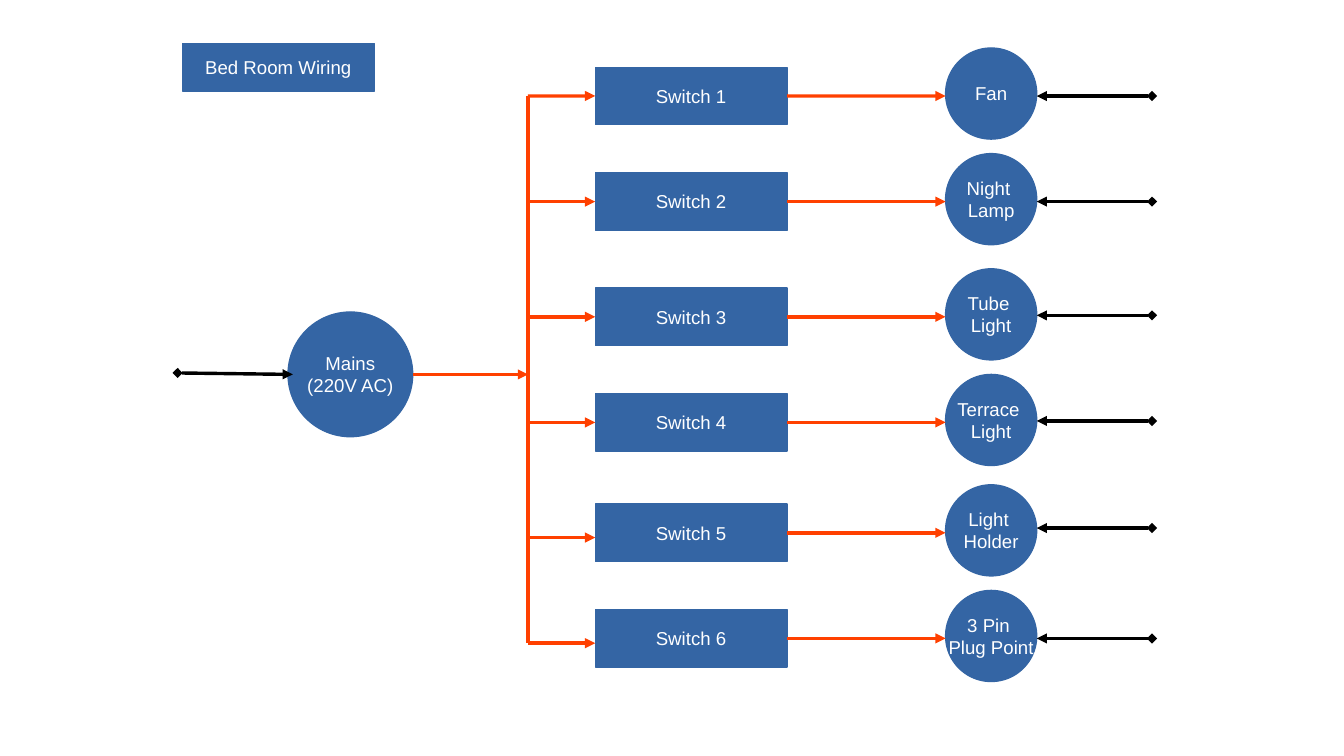
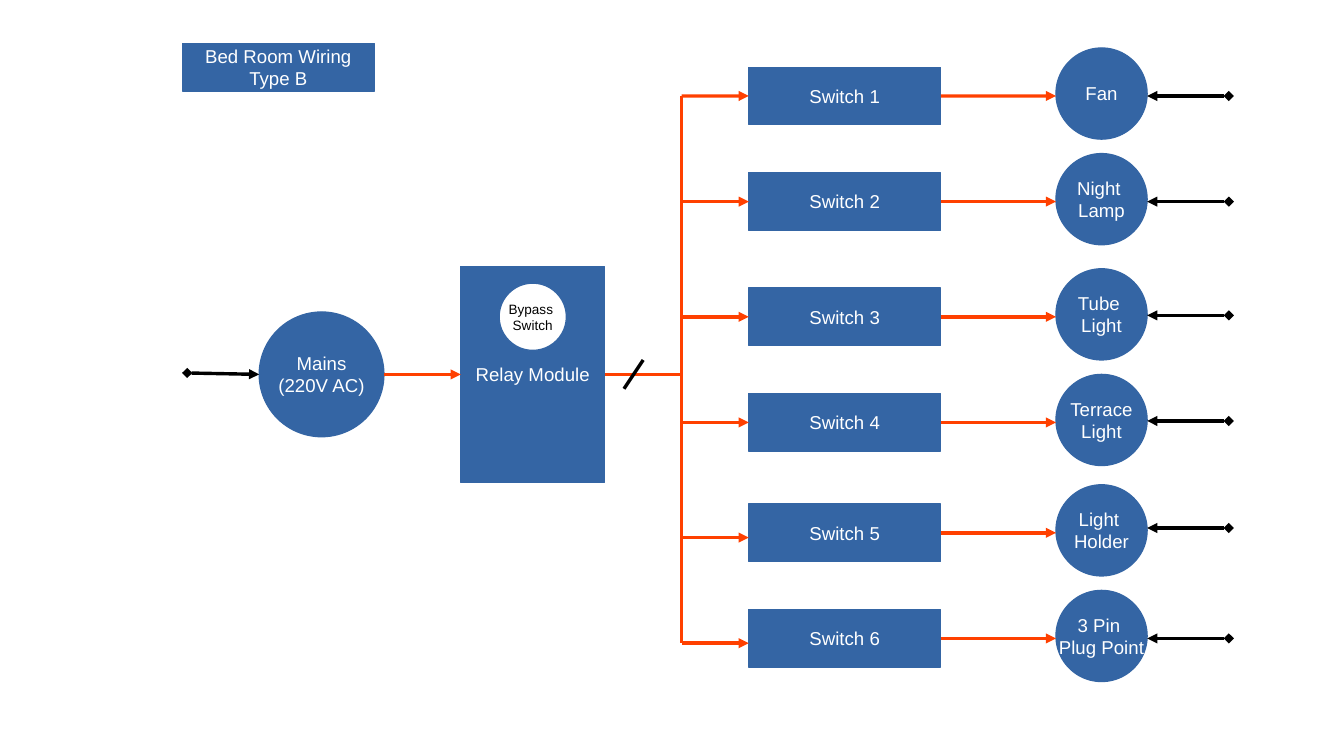
from dataclasses import dataclass
from typing import Optional

from lxml import etree
from pptx import Presentation
from pptx.dml.color import RGBColor
from pptx.enum.shapes import MSO_CONNECTOR, MSO_SHAPE
from pptx.enum.text import MSO_ANCHOR, PP_ALIGN
from pptx.oxml.ns import qn
from pptx.util import Cm, Pt

RECTANGLE = MSO_SHAPE.RECTANGLE
ELLIPSE = MSO_SHAPE.OVAL
STRAIGHT = MSO_CONNECTOR.STRAIGHT
CENTER = PP_ALIGN.CENTER
MIDDLE = MSO_ANCHOR.MIDDLE
LEFT_SIDE, RIGHT_SIDE = 1, 3

COLORS = {"block": "3465A4", "live": "FF4000", "neutral": "000000", "light": "FFFFFF"}
FONT = "Arial"

# Sizes shared by both slides, in centimetres
SWITCH_WIDTH, SWITCH_HEIGHT = 4, 1.2
LOAD_SIZE = 1.9
LOAD_RISE = 1.0  # top of a load above the middle of its switch
MAINS_SIZE = 2.6
MAINS_Y = 7.8


@dataclass(frozen=True)
class Circuit:
    load: str
    middle: float
    feed_y: float
    neutral_y: float


@dataclass(frozen=True)
class Layout:
    title: str
    mains_x: float
    supply_start: float
    supply_end: float
    bus_x: float
    switch_x: float
    load_x: float
    neutral_end: float
    terrace: str


CIRCUITS = [
    Circuit("Fan", 2.0, 2.0, 2.0),
    Circuit("Night \nLamp", 4.2, 4.2, 4.2),
    Circuit("Tube \nLight", 6.6, 6.6, 6.57),
    Circuit("Terrace", 8.8, 8.8, 8.77),
    Circuit("Light \nHolder", 11.1, 11.2, 11.0),
    Circuit("3 Pin \nPlug Point", 13.3, 13.4, 13.3),
]

DIRECT = Layout("Bed Room Wiring", 6.0, 6.1, 3.7, 11.0, 12.4, 19.7, 24.0,
                "Terrace \nLight")
RELAYED = Layout("Bed Room Wiring\nType B", 5.4, 5.4, 3.9, 14.2, 15.6, 22.0, 25.6,
                 "Terrace\nLight")


def color(name: str) -> RGBColor:
    return RGBColor.from_string(COLORS[name])


def add_block(page, text: str, left: float, top: float, width: float, height: float, *,
              kind=RECTANGLE, fill: str = "block", ink: str = "light", size: int = 11):
    """Draw a filled shape with one centred paragraph per line of text."""
    block = page.shapes.add_shape(kind, Cm(left), Cm(top), Cm(width), Cm(height))
    block.shadow.inherit = False
    block.fill.solid()
    block.fill.fore_color.rgb = color(fill)
    block.line.color.rgb = color("block")
    block.line.width = Pt(0)
    frame = block.text_frame
    frame.word_wrap = False
    frame.vertical_anchor = MIDDLE
    for index, words in enumerate(text.split("\n")):
        para = frame.add_paragraph() if index else frame.paragraphs[0]
        para.alignment = CENTER
        span = para.add_run()
        span.text = words
        span.font.name = FONT
        span.font.size = Pt(size)
        span.font.color.rgb = color(ink)
    return block


def add_wire(page, start: tuple[float, float], end: tuple[float, float], *,
             ink: str = "live", head: Optional[str] = None, tail: Optional[str] = None,
             source=None, target=None):
    """Draw a wire; source and target are rectangles joined at their sides."""
    wire = page.shapes.add_connector(STRAIGHT, *(Cm(value) for value in start + end))
    wire.line.color.rgb = color(ink)
    wire.line.width = Pt(0)
    outline = wire.line._get_or_add_ln()
    for tag, arrow in (("a:headEnd", head), ("a:tailEnd", tail)):
        if arrow:
            etree.SubElement(outline, qn(tag)).set("type", arrow)
    etree.SubElement(wire._element.spPr, qn("a:effectLst"))
    if source is not None:
        wire.begin_connect(source, RIGHT_SIDE)
    if target is not None:
        wire.end_connect(target, LEFT_SIDE)


def add_neutral(page, start: tuple[float, float], end: tuple[float, float]) -> None:
    add_wire(page, start, end, ink="neutral", head="triangle", tail="diamond")


def add_circuit(page, layout: Layout, number: int, circuit: Circuit) -> None:
    """Draw one row: feed, switch, load and neutral wire."""
    middle = circuit.middle
    switch = add_block(page, f"Switch {number}", layout.switch_x,
                       middle - SWITCH_HEIGHT / 2, SWITCH_WIDTH, SWITCH_HEIGHT)
    label = layout.terrace if circuit.load == "Terrace" else circuit.load
    add_block(page, label, layout.load_x, middle - LOAD_RISE, LOAD_SIZE, LOAD_SIZE,
              kind=ELLIPSE)
    add_wire(page, (layout.switch_x + SWITCH_WIDTH, middle), (layout.load_x, middle),
             tail="triangle", source=switch)
    add_wire(page, (layout.bus_x, circuit.feed_y), (layout.switch_x, circuit.feed_y),
             tail="triangle", target=switch if circuit.feed_y == middle else None)
    add_neutral(page, (layout.load_x + LOAD_SIZE, circuit.neutral_y),
                (layout.neutral_end, circuit.neutral_y))


def add_wiring(deck, layout: Layout):
    """Draw the parts both slides share and return the page."""
    page = deck.slides.add_slide(deck.slide_layouts[6])
    add_block(page, layout.title, 3.8, 0.9, 4, 1)
    add_block(page, "Mains\n(220V AC)", layout.mains_x, MAINS_Y - MAINS_SIZE / 2,
              MAINS_SIZE, MAINS_SIZE, kind=ELLIPSE)
    add_neutral(page, (layout.supply_start, MAINS_Y), (layout.supply_end, 7.77))
    add_wire(page, (layout.bus_x, CIRCUITS[0].feed_y),
             (layout.bus_x, CIRCUITS[-1].feed_y))
    for number, circuit in enumerate(CIRCUITS, start=1):
        add_circuit(page, layout, number, circuit)
    return page


def add_relay(page, layout: Layout) -> None:
    """Draw the relay with its bypass switch between the mains and the bus."""
    left, width, height = 9.6, 3, 4.5
    relay = add_block(page, "Relay Module", left, MAINS_Y - height / 2, width, height)
    add_block(page, "Bypass \nSwitch", 10.4, 5.9, 1.4, 1.4, kind=ELLIPSE,
              fill="light", ink="neutral", size=8)
    add_wire(page, (layout.mains_x + MAINS_SIZE, MAINS_Y), (left, MAINS_Y),
             tail="triangle", target=relay)
    add_wire(page, (left + width, MAINS_Y), (layout.bus_x, MAINS_Y), source=relay)
    # Slash across the bundle of wires
    add_wire(page, (13.4, 7.5), (13.0, 8.1), ink="neutral")


def main() -> None:
    deck = Presentation()
    deck.slide_width, deck.slide_height = Cm(28), Cm(15.75)

    # Mains wired straight to the bus
    page = add_wiring(deck, DIRECT)
    add_wire(page, (DIRECT.mains_x + MAINS_SIZE, MAINS_Y), (DIRECT.bus_x, MAINS_Y),
             tail="triangle")

    # Mains wired through the relay
    page = add_wiring(deck, RELAYED)
    add_relay(page, RELAYED)

    deck.save("out.pptx")


if __name__ == "__main__":
    main()
